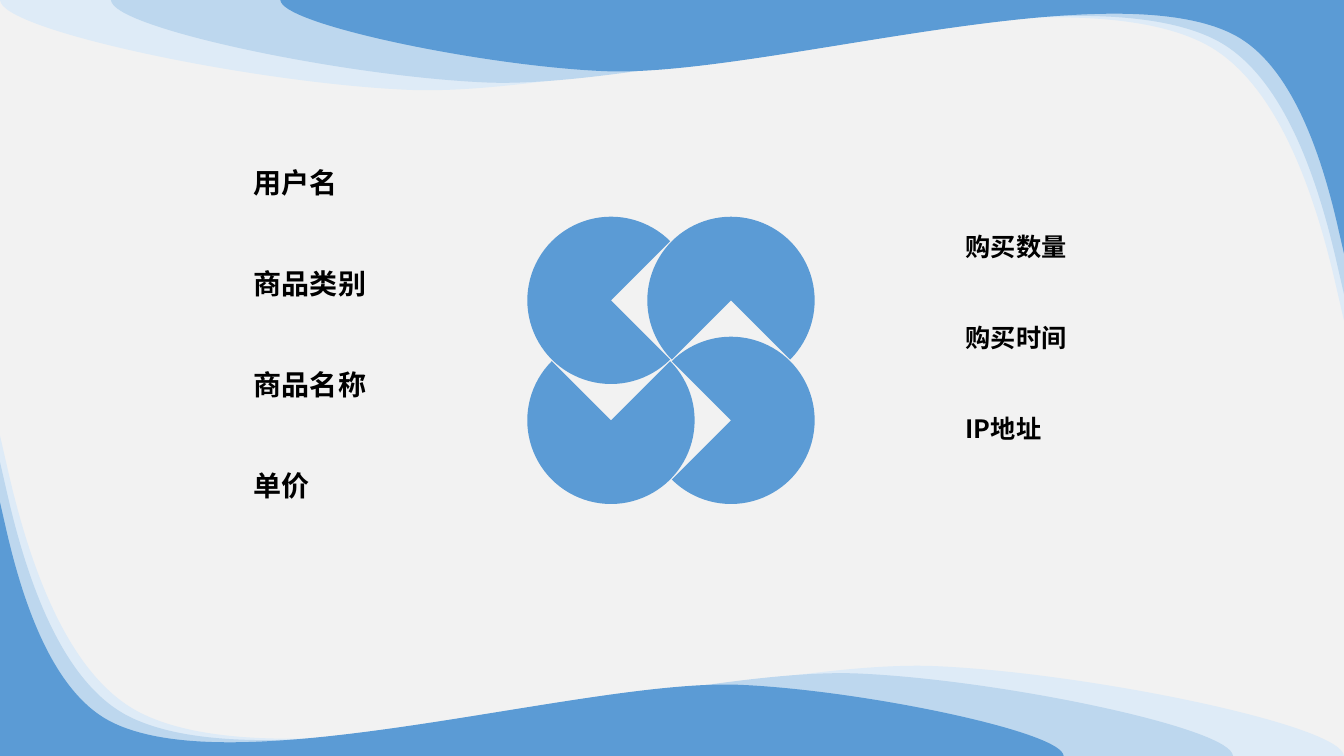
import pptx
import pptx.dml.color
import pptx.enum.shapes
import pptx.oxml
import pptx.util

Inches, Pt = pptx.util.Inches, pptx.util.Pt
qn, nsdecls = pptx.oxml.ns.qn, pptx.oxml.ns.nsdecls
WIDTH, HEIGHT = 13.33, 7.5
FONT = "Noto Sans CJK SC"
BLUE = "5B9BD5"

# Largest wave, measured right and up from the bottom left corner
WAVE_EDGE = [(0, 0), (0, 3.18), (0.08, 2.83)]
WAVE_CURVES = [
    [(0.32, 1.78), (0.72, 0.74), (1.43, 0.41)],
    [(3.07, -0.36), (7.4, 0.99), (9.31, 0.89)],
    [(10.8, 0.82), (13.17, 0.33), (13.32, 0.03)],
]
WAVE_LAYERS = [(WIDTH, "DEEBF7"), (12.23, "BDD7EE"), (10.55, BLUE)]


def rgb(color):
    return pptx.dml.color.RGBColor.from_string(color)


def paint(sp, color):
    sp.shadow.inherit = False
    sp.fill.solid()
    sp.fill.fore_color.rgb = rgb(color)
    sp.line.fill.background()


def bend(sp, curves):
    """Turn the line segments after the wave's edge into cubic curves."""
    lines = list(sp._element.iter(qn("a:lnTo")))[len(WAVE_EDGE) - 1:]
    for line, curve in zip(lines, curves):
        pts = "".join(f'<a:pt x="{x - sp.left}" y="{y - sp.top}"/>' for x, y in curve)
        cubic = pptx.oxml.parse_xml(
            f'<a:cubicBezTo {nsdecls("a")}>{pts}</a:cubicBezTo>')
        line.getparent().replace(line, cubic)


def add_waves(slide, corner_x, corner_y, direction):
    """Layered waves; direction 1 grows right and up, -1 left and down."""
    for width, color in WAVE_LAYERS:
        scale = direction * width / WIDTH

        def place(points):
            return [(Inches(corner_x + scale * x), Inches(corner_y - scale * y))
                    for x, y in points]

        curves = [place(curve) for curve in WAVE_CURVES]
        points = place(WAVE_EDGE) + [c[-1] for c in curves] + place([(WIDTH, 0)])
        builder = slide.shapes.build_freeform(*points[0], scale=1.0)
        builder.add_line_segments(points[1:], close=True)
        sp = builder.convert_to_shape()
        bend(sp, curves)
        paint(sp, color)


def add_pinwheel(slide, left, top, size):
    """Four notched discs, clockwise from the top left."""
    disc, pitch = 1.66 / 2.85 * size, 1.19 / 2.85 * size
    for i, (col, row) in enumerate([(0, 0), (1, 0), (1, 1), (0, 1)]):
        sp = slide.shapes.add_shape(
            pptx.enum.shapes.MSO_SHAPE.TEAR,
            Inches(left + col * pitch), Inches(top + row * pitch),
            Inches(disc), Inches(disc))
        sp.adjustments[0] = 0
        sp.rotation = 45 + 90 * i
        paint(sp, BLUE)


def add_field_list(slide, left, top, width, height, fields, size):
    sp = slide.shapes.add_textbox(*map(Inches, (left, top, width, height)))
    tf = sp.text_frame
    tf.word_wrap = True
    for i, field in enumerate(fields):
        p = tf.paragraphs[0] if i == 0 else tf.add_paragraph()
        p.text = field
        p.line_spacing = Pt(1.8 * size)
        p.space_before = Pt(0)
        p.space_after = Pt(1.8 * size)
        p.font.name = FONT
        p.font.size = Pt(size)
        p.font.bold = True
        p.font.color.rgb = rgb("000000")
        # East Asian typeface, placed right after the Latin one
        latin = p.font._element.find(qn("a:latin"))
        latin.addnext(pptx.oxml.parse_xml(
            f'<a:ea {nsdecls("a")} typeface="{FONT}"/>'))


prs = pptx.Presentation()
prs.slide_width, prs.slide_height = Inches(WIDTH), Inches(HEIGHT)
slide = prs.slides.add_slide(prs.slide_layouts[6])
slide.background.fill.solid()
slide.background.fill.fore_color.rgb = rgb("F2F2F2")

# Corner decoration
add_waves(slide, 0, HEIGHT, 1)
add_waves(slide, WIDTH, 0, -1)

# Centre emblem
add_pinwheel(slide, 5.23, 2.15, 2.85)

# Purchase record fields
add_field_list(slide, 2.42, 1.43, 3.04, 4.64,
               ["用户名", "商品类别", "商品名称", "单价"], 20)
add_field_list(slide, 9.48, 2.1, 2.56, 2.67,
               ["购买数量", "购买时间", "IP地址"], 18)

prs.save("out.pptx")
